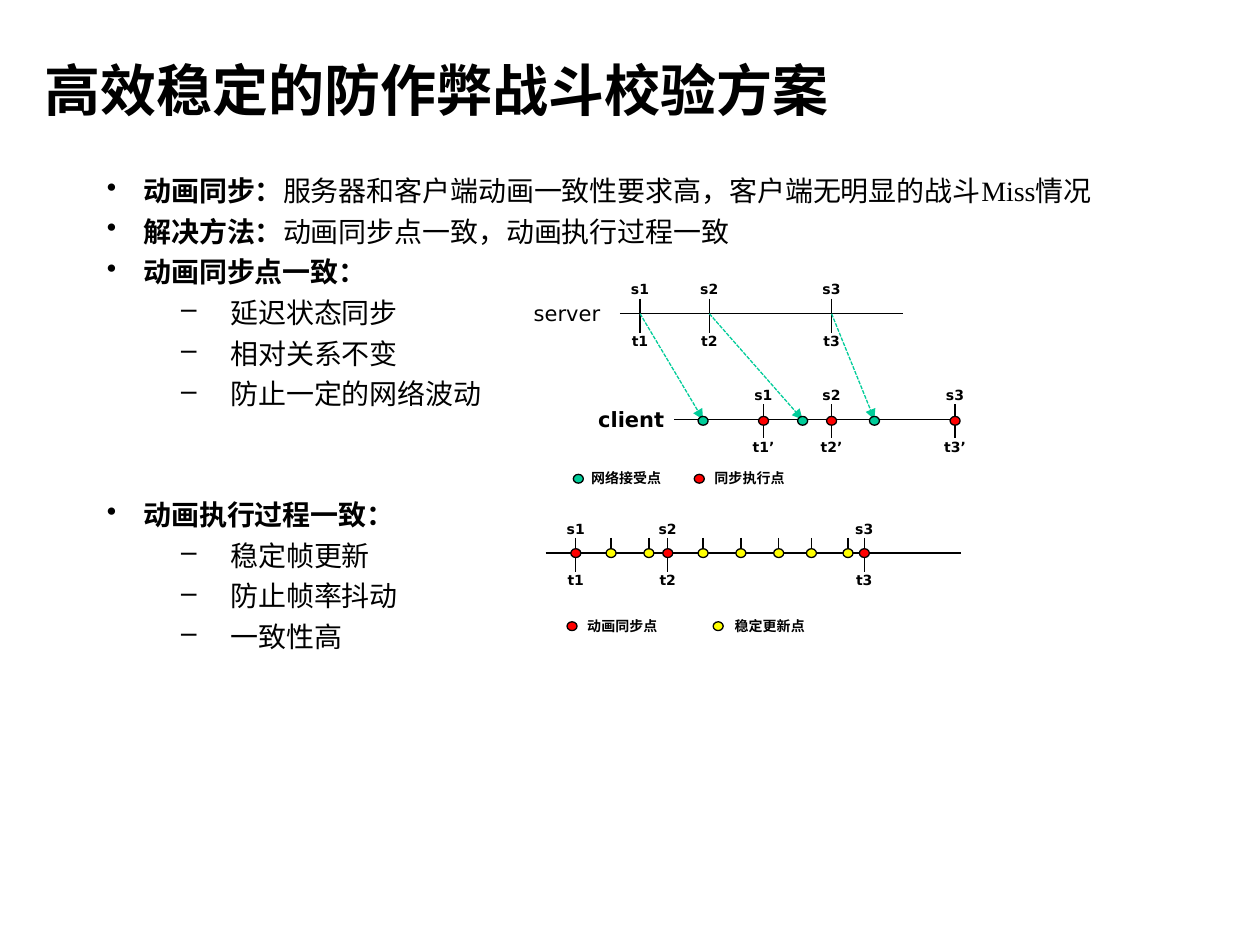
from lxml.etree import SubElement
from pptx import Presentation
from pptx.dml.color import RGBColor
from pptx.enum.dml import MSO_LINE
from pptx.enum.shapes import MSO_CONNECTOR, MSO_SHAPE
from pptx.enum.text import MSO_ANCHOR, MSO_AUTO_SIZE, PP_ALIGN
from pptx.oxml.ns import qn
from pptx.util import Inches, Pt

BLACK = RGBColor(0x00, 0x00, 0x00)
RED = RGBColor(0xFF, 0x00, 0x00)
YELLOW = RGBColor(0xFF, 0xFF, 0x00)
GREEN = RGBColor(0x00, 0xCC, 0x99)

TEXT_FONT = "Times New Roman"
LABEL_FONT = "DejaVu Sans"
LABEL_WIDTH = 0.83

# level: left margin, hanging indent, bullet
BULLETS = {0: (0.29, -0.29, "•"), 1: (0.98, -0.39, "–")}

# level, bold lead, plain text, space before in points
OUTLINE = [
    (0, "动画同步：", "服务器和客户端动画一致性要求高，客户端无明显的战斗Miss情况", 0),
    (0, "解决方法：", "动画同步点一致，动画执行过程一致", 4),
    (0, "动画同步点一致：", "", 4),
    (1, "", "延迟状态同步", 4),
    (1, "", "相对关系不变", 4),
    (1, "", "防止一定的网络波动", 4),
    (0, "动画执行过程一致：", "", 50),
    (1, "", "稳定帧更新", 4),
    (1, "", "防止帧率抖动", 4),
    (1, "", "一致性高", 4),
]


class TimelineSlide:
    def __init__(self, deck):
        self.slide = deck.slides.add_slide(deck.slide_layouts[5])
        self.shapes = self.slide.shapes

    def start_group(self):
        """Send the following elements into a new group."""
        self.shapes = self.slide.shapes.add_group_shape().shapes

    def style(self, font, **values):
        for name, value in {"name": TEXT_FONT, "bold": False, **values}.items():
            setattr(font, name, value)
        font.color.rgb = BLACK

    def title(self, text, left, top, width, height):
        heading = self.slide.shapes.title
        place = {"left": left, "top": top, "width": width, "height": height}
        for name, value in place.items():
            setattr(heading, name, Inches(value))
        frame = heading.text_frame
        frame.text = text
        frame.auto_size = MSO_AUTO_SIZE.NONE
        frame.vertical_anchor = MSO_ANCHOR.MIDDLE
        paragraph = frame.paragraphs[0]
        paragraph.alignment = PP_ALIGN.LEFT
        self.style(paragraph.runs[0].font, size=Pt(32), bold=True)

    def outline(self, items, left, top, width, height):
        frame = self.shapes.add_textbox(*map(Inches, (left, top, width, height))).text_frame
        frame.word_wrap = True
        for index, (level, lead, text, space) in enumerate(items):
            paragraph = frame.add_paragraph() if index else frame.paragraphs[0]
            margin, indent, bullet = BULLETS[level]
            paragraph.level = level
            paragraph.space_before = Pt(space)
            properties = paragraph._p.get_or_add_pPr()
            properties.set("marL", str(Inches(margin)))
            properties.set("indent", str(Inches(indent)))
            SubElement(properties, qn("a:buChar")).set("char", bullet)
            for words, bold in ((lead, True), (text, False)):
                if words:
                    run = paragraph.add_run()
                    run.text = words
                    self.style(run.font, size=Pt(16), bold=bold)

    def label(self, text, center, top, size=8, height=0.24, bold=True):
        box = self.shapes.add_textbox(Inches(center - LABEL_WIDTH / 2), Inches(top),
                                      Inches(LABEL_WIDTH), Inches(height))
        frame = box.text_frame
        frame.word_wrap = True
        frame.text = text
        paragraph = frame.paragraphs[0]
        paragraph.alignment = PP_ALIGN.CENTER
        self.style(paragraph.runs[0].font, name=LABEL_FONT, size=Pt(size), bold=bold)

    def line(self, x1, y1, x2, y2, color=BLACK):
        connector = self.shapes.add_connector(MSO_CONNECTOR.STRAIGHT,
                                              *map(Inches, (x1, y1, x2, y2)))
        connector.line.color.rgb = color
        connector.line.width = Pt(0.75)
        SubElement(connector._element.spPr, qn("a:effectLst"))
        return connector

    def message(self, x1, y1, x2, y2):
        """Dashed arrow from the server to the client."""
        arrow = self.line(x1, y1, x2, y2, GREEN)
        arrow.line.dash_style = MSO_LINE.SQUARE_DOT
        SubElement(arrow.line._get_or_add_ln(), qn("a:tailEnd")).set("type", "triangle")

    def dot(self, x, y, color):
        point = self.shapes.add_shape(MSO_SHAPE.OVAL, Inches(x - 0.04), Inches(y - 0.035),
                                      Inches(0.08), Inches(0.07))
        point.shadow.inherit = False
        point.fill.solid()
        point.fill.fore_color.rgb = color
        point.line.color.rgb = BLACK
        point.line.width = Pt(0.75)

    def upper_tick(self, x, axis):
        self.line(x, axis - 0.12, x, axis + 0.03)

    def timeline(self, start, end, axis, moments, suffix=""):
        """Axis with a state label above and a time label below each moment."""
        self.line(start, axis, end, axis)
        for number, x in enumerate(moments, 1):
            self.upper_tick(x, axis)
            self.line(x, axis, x, axis + 0.15)
            self.label(f"s{number}", x, axis - 0.31)
            self.label(f"t{number}{suffix}", x, axis + 0.1)

    def legend(self, text, x, y, color, center):
        self.dot(x, y, color)
        self.label(text, center, y - 0.12)


def draw_sync_points(page):
    server_axis, client_axis = 2.49, 3.33
    sent, received, executed = (5.08, 5.63, 6.6), (5.58, 6.37, 6.94), (6.06, 6.6, 7.58)
    page.start_group()
    page.label("server", 4.5, 2.34, size=12, height=0.3, bold=False)
    page.timeline(4.92, 7.17, server_axis, sent)
    page.label("client", 5.01, 3.18, size=12, height=0.3)
    page.timeline(5.35, 7.6, client_axis, executed, "’")
    for x1, x2 in zip(sent, received):
        page.message(x1, server_axis, x2, client_axis)
    for color, moments in ((GREEN, received), (RED, executed)):
        for x in moments:
            page.dot(x, client_axis + 0.01, color)
    page.legend("网络接受点", 4.59, 3.8, GREEN, 4.97)
    page.legend("同步执行点", 5.55, 3.8, RED, 5.95)


def draw_frame_updates(page):
    axis = 4.39
    synced = (4.57, 5.3, 6.86)
    updated = (4.85, 5.15, 5.58, 5.88, 6.18, 6.44, 6.73)
    page.start_group()
    page.timeline(4.33, 7.63, axis, synced)
    for x in updated:
        page.upper_tick(x, axis)
    for color, moments in ((YELLOW, updated), (RED, synced)):
        for x in moments:
            page.dot(x, axis, color)
    page.legend("动画同步点", 4.54, 4.97, RED, 4.94)
    page.legend("稳定更新点", 5.7, 4.97, YELLOW, 6.11)


def main():
    deck = Presentation()
    deck.slide_width, deck.slide_height = Inches(10), Inches(7.5)
    page = TimelineSlide(deck)
    page.title("高效稳定的防作弊战斗校验方案", 0.25, 0.25, 6.57, 0.92)
    page.outline(OUTLINE, 0.75, 1.33, 9, 4.25)
    draw_sync_points(page)
    draw_frame_updates(page)
    deck.save("out.pptx")


if __name__ == "__main__":
    main()
